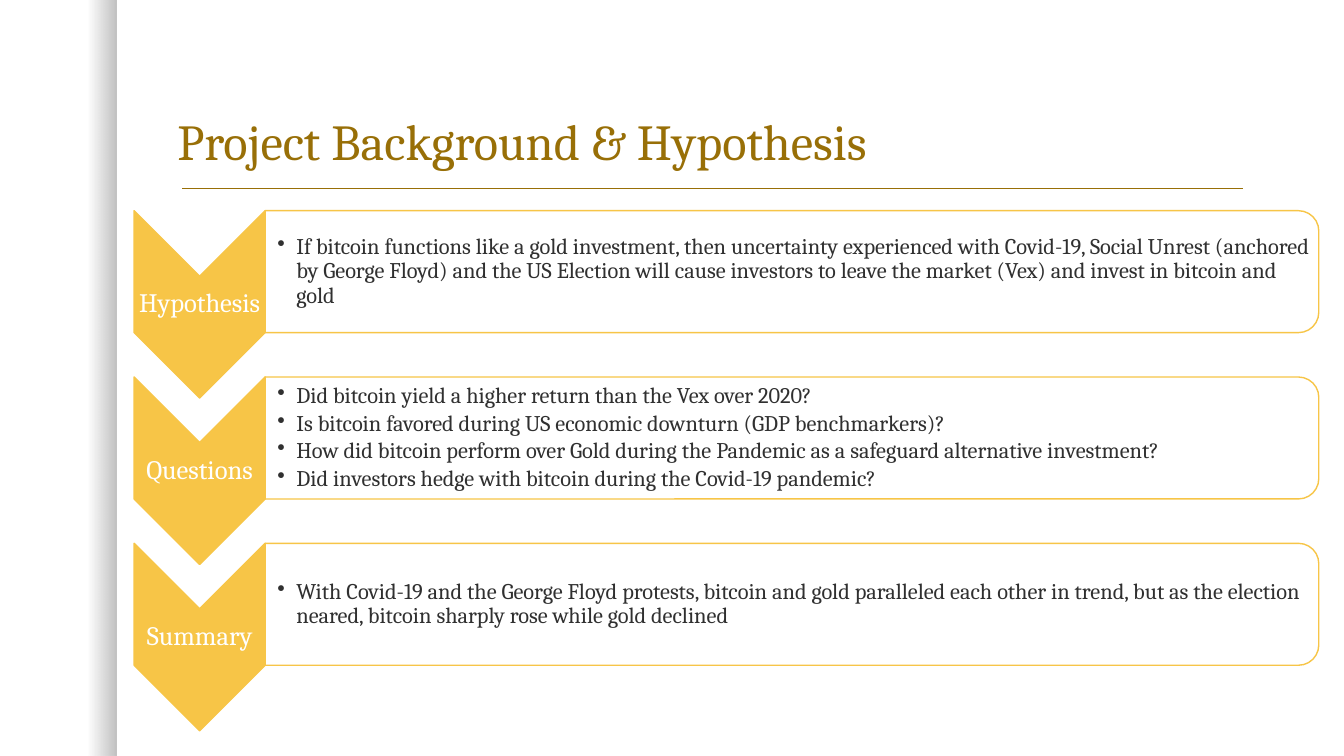
"""Build the project background slide: title, side shading and three chevron rows."""
from lxml import etree
from pptx import Presentation
from pptx.dml.color import RGBColor
from pptx.enum.shapes import MSO_CONNECTOR, MSO_SHAPE
from pptx.enum.text import MSO_ANCHOR, MSO_AUTO_SIZE, PP_ALIGN
from pptx.oxml.ns import qn
from pptx.util import Inches, Pt

CHEVRON, CARD, RECTANGLE = MSO_SHAPE.CHEVRON, MSO_SHAPE.ROUND_2_SAME_RECTANGLE, MSO_SHAPE.RECTANGLE
MIDDLE, BOTTOM = MSO_ANCHOR.MIDDLE, MSO_ANCHOR.BOTTOM
LEFT, CENTER = PP_ALIGN.LEFT, PP_ALIGN.CENTER
STRAIGHT, FIXED_SIZE = MSO_CONNECTOR.STRAIGHT, MSO_AUTO_SIZE.NONE
GOLD, DARK_GOLD, WHITE, TEXT = "F7C547", "986F07", "FFFFFF", "303030"

ROW_TOP, ROW_PITCH = 2.09, 1.65
CHEVRON_LEFT, CHEVRON_WIDTH, CHEVRON_HEIGHT = 1.33, 1.3, 1.86
CARD_LEFT, CARD_WIDTH, CARD_HEIGHT = CHEVRON_LEFT + CHEVRON_WIDTH, 10.45, 1.21
CARD_INSET, BULLET_INDENT = 0.06, 0.19
ROWS = [
    ("Hypothesis", [
        "If bitcoin functions like a gold investment, then uncertainty experienced with Covid-19, "
        "Social Unrest (anchored by George Floyd) and the US Election will cause investors to leave "
        "the market (Vex) and invest in bitcoin and gold"]),
    ("Questions", [
        "Did bitcoin yield a higher return than the Vex over 2020?",
        "Is bitcoin favored during US economic downturn (GDP benchmarkers)?",
        "How did bitcoin perform over Gold during the Pandemic as a safeguard alternative investment?",
        "Did investors hedge with bitcoin during the Covid-19 pandemic?"]),
    ("Summary", [
        "With Covid-19 and the George Floyd protests, bitcoin and gold paralleled each other in trend, "
        "but as the election neared, bitcoin sharply rose while gold declined"]),
]


def color(value):
    return RGBColor.from_string(value)


def write_text(shape, lines, size, tone, anchor, align, margins, after=0):
    frame = shape.text_frame
    frame.text = "\n".join(lines)
    settings = {"word_wrap": True, "auto_size": FIXED_SIZE, "vertical_anchor": anchor}
    sides = ("margin_left", "margin_top", "margin_right", "margin_bottom")
    settings.update(zip(sides, map(Inches, margins)))
    for name, value in settings.items():
        setattr(frame, name, value)
    for paragraph in frame.paragraphs:
        paragraph.alignment = align
        paragraph.line_spacing = 0.9
        paragraph.space_after = Pt(after)
        paragraph.font.name = "Cambria"
        paragraph.font.size = Pt(size)
        paragraph.font.color.rgb = color(tone)


presentation = Presentation()
presentation.slide_width, presentation.slide_height = Inches(13.33), Inches(7.5)
slide = presentation.slides.add_slide(presentation.slide_layouts[5])
shapes = slide.shapes

title = shapes.title
title.left, title.top, title.width, title.height = map(Inches, (1.66, 0.42, 10.75, 1.33))
write_text(title, ["Project Background & Hypothesis"], 36, DARK_GOLD, BOTTOM, LEFT, (0.1, 0.05, 0.1, 0.05))

shading = shapes.add_shape(RECTANGLE, 0, 0, Inches(1.16), presentation.slide_height)
shading.shadow.inherit = False
shading.line.fill.background()
shading.fill.gradient()
shading.fill.gradient_angle = 0
for stop, position in zip(shading.fill.gradient_stops, (0.75, 1)):
    stop.position = position
    stop.color.rgb = color("000000")
for shade, opacity in zip(shading._element.spPr.iter(qn("a:srgbClr")), (0, 25)):
    etree.SubElement(shade, qn("a:alpha"), val=str(opacity * 1000))

rule = shapes.add_connector(STRAIGHT, *map(Inches, (1.81, 1.87, 12.33, 1.87)))
rule.line.color.rgb = color(DARK_GOLD)
rule.line.width = Pt(1)
etree.SubElement(rule._element.spPr, qn("a:effectLst"))

for index, (label, points) in enumerate(ROWS):
    top = ROW_TOP + index * ROW_PITCH
    blocks = [
        (CHEVRON, CHEVRON_LEFT, CHEVRON_WIDTH, CHEVRON_HEIGHT, GOLD),
        (CARD, CARD_LEFT, CARD_WIDTH, CARD_HEIGHT, WHITE),
    ]
    for kind, left, width, height, fill in blocks:
        turned_left, turned_top = left + (width - height) / 2, top + (height - width) / 2
        block = shapes.add_shape(kind, *map(Inches, (turned_left, turned_top, height, width)))
        block.rotation = 90
        block.shadow.inherit = False
        block.fill.solid()
        block.fill.fore_color.rgb = color(fill)
        block.line.color.rgb = color(GOLD)
        block.line.width = Pt(1)

    label_box = shapes.add_textbox(Inches(CHEVRON_LEFT), Inches(top + CHEVRON_WIDTH / 2),
                                   Inches(CHEVRON_WIDTH), Inches(CHEVRON_HEIGHT - CHEVRON_WIDTH))
    write_text(label_box, [label], 19, WHITE, MIDDLE, CENTER, [0.01] * 4)

    points_box = shapes.add_textbox(Inches(CARD_LEFT), Inches(top + CARD_INSET),
                                    Inches(CARD_WIDTH - CARD_INSET), Inches(CARD_HEIGHT - 2 * CARD_INSET))
    write_text(points_box, points, 16, TEXT, MIDDLE, LEFT, (0.12, 0.01, 0.01, 0.01), after=2.4)
    for paragraph in points_box.text_frame.paragraphs:
        properties = paragraph._p.get_or_add_pPr()
        properties.set("marL", str(Inches(BULLET_INDENT)))
        properties.set("indent", str(-Inches(BULLET_INDENT)))
        bullet = etree.Element(qn("a:buChar"), char="•")
        properties.find(qn("a:spcAft")).addnext(bullet)

presentation.save("out.pptx")
